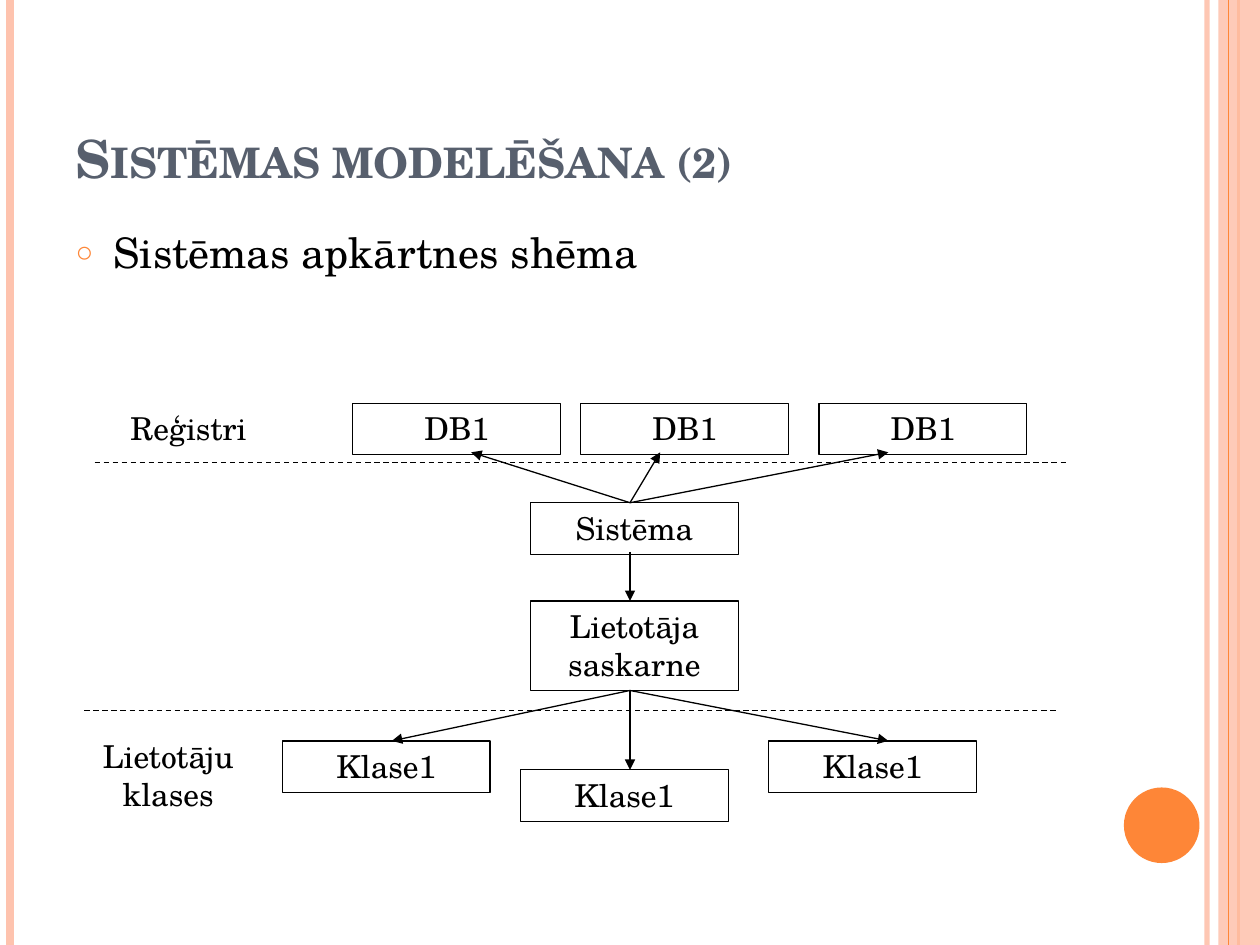
from lxml.etree import SubElement
from pptx import Presentation
from pptx.dml.color import RGBColor
from pptx.enum.dml import MSO_LINE
from pptx.enum.shapes import MSO_CONNECTOR, MSO_SHAPE
from pptx.enum.text import MSO_ANCHOR, PP_ALIGN
from pptx.oxml.ns import qn
from pptx.util import Inches, Pt

FONT = "TeX Gyre Schola"
COLORS = {"ink": "000000", "title": "575F6D", "accent": "FE8637", "pale": "FEC3AE"}
RGB = {name: RGBColor.from_string(code) for name, code in COLORS.items()}
WIDE, HIGH = 1.65, 0.41

deck = Presentation()
deck.slide_width, deck.slide_height = Inches(10), Inches(7.5)
slide = deck.slides.add_slide(deck.slide_layouts[1])
shapes = slide.shapes


def add_line(start, end, color="ink", width=0.75, dash=False, arrow=False):
    line = shapes.add_connector(
        MSO_CONNECTOR.STRAIGHT, *[Inches(v) for v in (*start, *end)])
    line.line.color.rgb = RGB[color]
    line.line.width = Pt(width)
    if dash:
        line.line.dash_style = MSO_LINE.DASH
    props = line._element.spPr
    if arrow:
        SubElement(props.find(qn("a:ln")), qn("a:tailEnd"), type="triangle")
    SubElement(props, qn("a:effectLst"))
    return line


def add_box(text, left, top, height=HIGH, border=True):
    place = [Inches(v) for v in (left, top, WIDE, height)]
    if border:
        box = shapes.add_shape(MSO_SHAPE.RECTANGLE, *place)
        box.shadow.inherit = False
        box.fill.background()
        box.line.color.rgb = RGB["ink"]
        box.line.width = Pt(0.75)
    else:
        box = shapes.add_textbox(*place)
    frame = box.text_frame
    frame.word_wrap = True
    frame.vertical_anchor = MSO_ANCHOR.TOP
    frame.text = text
    para = frame.paragraphs[0]
    para.alignment = PP_ALIGN.CENTER
    para.font.name, para.font.size = FONT, Pt(18)
    para.font.color.rgb = RGB["ink"]


# Side stripes and disc
edge = add_line((9.58, 0), (9.58, 7.5), "pale", 3)
add_line((0.08, 0), (0.08, 7.5), "pale", 4.5)
add_line((9.83, 0), (9.83, 7.5), "accent", 1.5)
band = shapes.add_shape(
    MSO_SHAPE.RECTANGLE, Inches(9.67), 0, Inches(0.33), Inches(7.5))
add_line((9.75, 0), (9.75, 7.5), "accent")
disc = shapes.add_shape(
    MSO_SHAPE.OVAL, Inches(8.92), Inches(6.25), Inches(0.6), Inches(0.6))
for shape, color in ((band, "pale"), (disc, "accent")):
    shape.shadow.inherit = False
    shape.fill.solid()
    shape.fill.fore_color.rgb = RGB[color]
    shape.line.fill.background()
for shape, alpha in ((edge, "93000"), (band, "87000")):
    tint = next(shape._element.spPr.iter(qn("a:srgbClr")))
    SubElement(tint, qn("a:alpha"), val=alpha)

# Title and bullet
title, body = shapes.title, slide.placeholders[1]
for holder, text, place, size, color, anchor in (
    (title, "Sistēmas modelēšana (2)", (0.5, 0.3, 8.17, 1.25), 30, "title",
     MSO_ANCHOR.BOTTOM),
    (body, "Sistēmas apkārtnes shēma", (0.5, 1.75, 9, 0.75), 24, "ink",
     MSO_ANCHOR.TOP),
):
    holder.left, holder.top, holder.width, holder.height = map(Inches, place)
    holder.text_frame.text = text
    holder.text_frame.vertical_anchor = anchor
    para = holder.text_frame.paragraphs[0]
    para.alignment = PP_ALIGN.LEFT
    para.font.name, para.font.size = FONT, Pt(size)
    para.font.color.rgb = RGB[color]
head = title.text_frame.paragraphs[0]
head.font.bold = True
head.runs[0]._r.get_or_add_rPr().set("cap", "small")

item = body.text_frame.paragraphs[0]
item.space_before = Pt(6)
props = item._p.get_or_add_pPr()
props.set("marL", str(Inches(0.3)))
props.set("indent", str(Inches(-0.3)))
marks = [SubElement(props, qn("a:buClr")),
         SubElement(props, qn("a:buSzPct"), val="70000"),
         SubElement(props, qn("a:buChar"), char="○")]
SubElement(marks[0], qn("a:srgbClr"), val=COLORS["accent"])
rest = props.find(qn("a:defRPr"))
for mark in marks:
    rest.addprevious(mark)

# System and its user interface
add_box("Sistēma", 4.21, 3.99)
add_box("Lietotāja saskarne", 4.21, 4.77, 0.71)
add_line((5, 4.38), (5, 4.77), arrow=True)

# User classes
for left, top, tip in ((2.24, 5.88, 3.11), (4.13, 6.11, 5), (6.1, 5.88, 7.05)):
    add_box("Klase1", left, top)
    add_line((5, 5.48), (tip, top), arrow=True)
add_box("Lietotāju klases", 0.51, 5.8, 0.7, border=False)
add_line((0.67, 5.64), (8.39, 5.64), dash=True)

# Registers
for left, tip in ((2.8, 3.74), (4.61, 5.24), (6.5, 7.05)):
    add_box("DB1", left, 3.2)
    add_line((5, 3.99), (tip, 3.59), arrow=True)
add_box("Reģistri", 0.67, 3.2, 0.4, border=False)
add_line((0.75, 3.67), (8.47, 3.67), dash=True)

deck.save("out.pptx")
